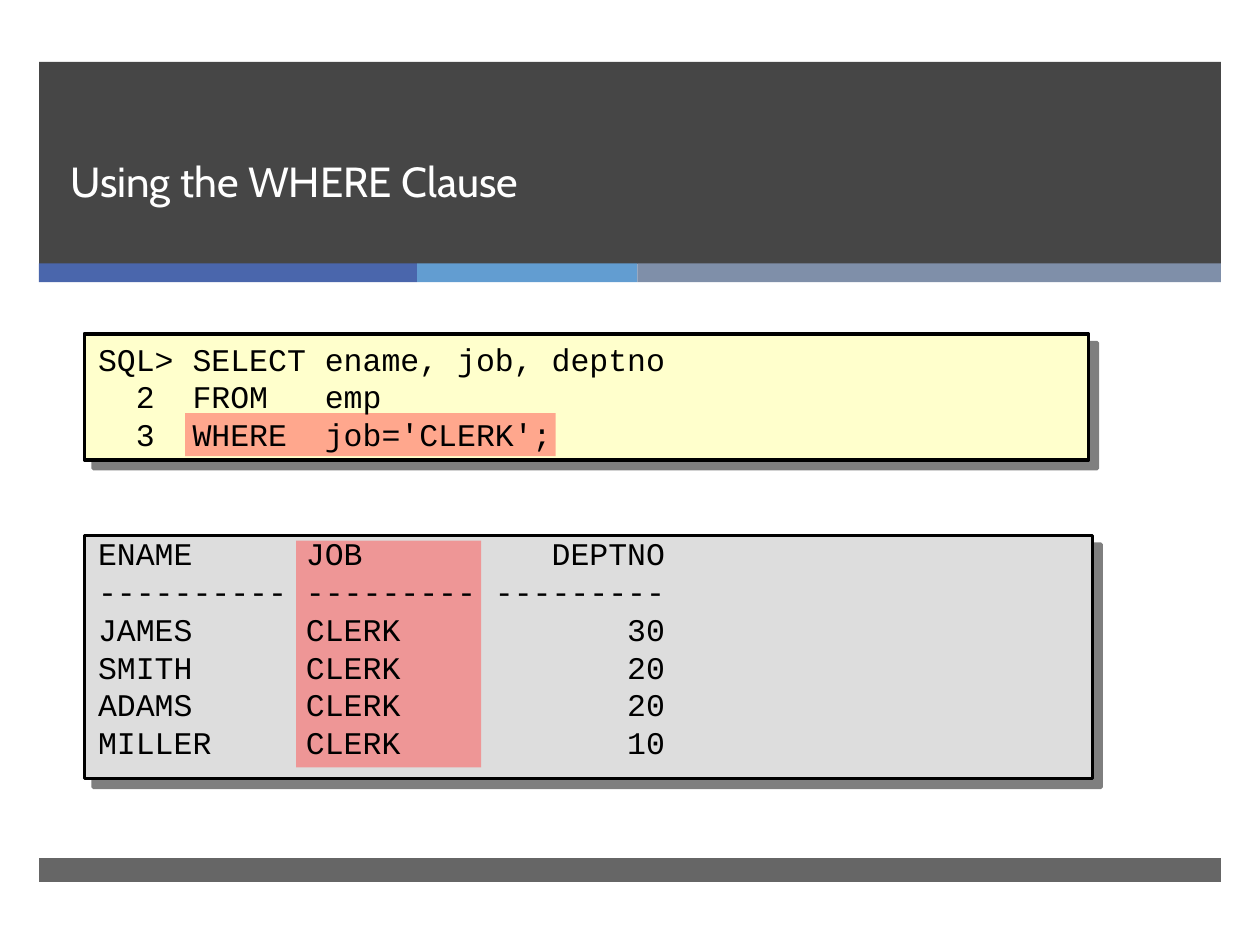
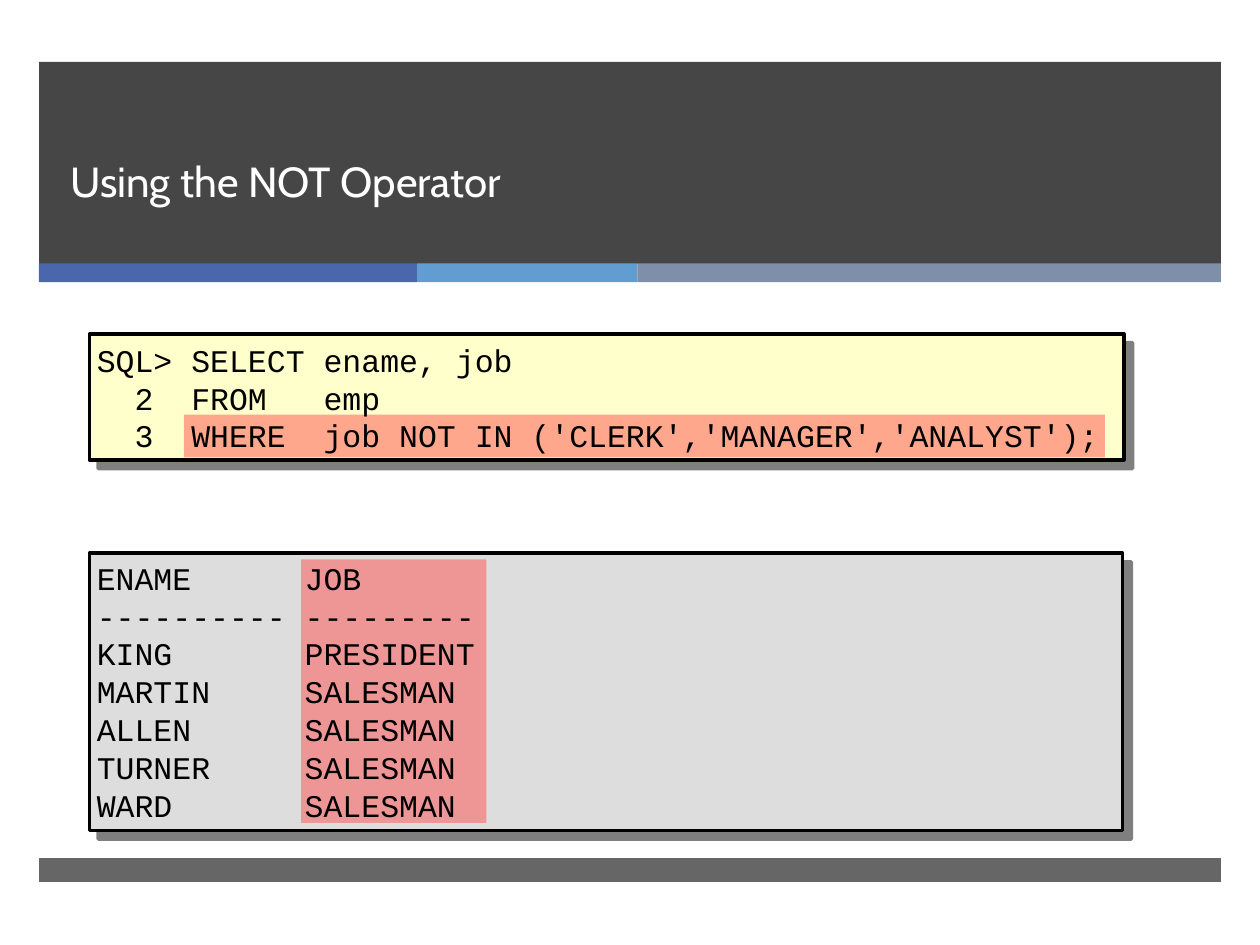
from collections import namedtuple

from lxml.etree import SubElement
from pptx import Presentation
from pptx.dml.color import RGBColor as Rgb
from pptx.enum.shapes import MSO_SHAPE as Shape
from pptx.enum.text import MSO_ANCHOR as Anchor
from pptx.oxml.ns import qn
from pptx.util import Emu, Inches, Pt

SLIDE_WIDTH, SLIDE_HEIGHT = Inches(10), Inches(7.5)
COLUMNS, ROWS = 100, 75
CHAR_WIDTH = Pt(18 * 0.6)

COLOURS = {
    "band": "262626", "blue": "4A66AC", "sky": "629DD1", "slate": "7F8FA9",
    "code": "FFFFCC", "result": "DDDDDD", "mark": "FF5050",
    "ink": "000000", "paper": "FFFFFF",
}
TITLE_FONT = {"name": "Cabin", "size": Pt(24)}
CODE_FONT = {"name": "Courier New", "size": Pt(18)}
SHADOW = {"blurRad": 0, "dist": Pt(7.1), "dir": 45 * 60000, "algn": "ctr", "rotWithShape": 0}

# Tab stops as (character column, alignment)
CODE_TABS = [(2, "l"), (5, "l"), (12, "l")]
RESULT_TABS = [(11, "l"), (30, "r")]

Box = namedtuple("Box", "left top width height")


def inside(outer, part):
    """Turn a box measured from the corner of outer into a slide box."""
    return Box(outer.left + part.left, outer.top + part.top, part.width, part.height)


def on_slide(box):
    """Turn grid columns and rows into slide lengths."""
    across, down = SLIDE_WIDTH / COLUMNS, SLIDE_HEIGHT / ROWS
    return [Emu(round(share)) for share in
            (box.left * across, box.top * down, box.width * across, box.height * down)]


def set_values(target, values):
    for name, value in values.items():
        setattr(target, name, value)


def add_alpha(parent, percent):
    SubElement(parent, qn("a:alpha"), val=str(percent * 1000))


def add_block(page, box, colour, opacity=100):
    block = page.shapes.add_shape(Shape.RECTANGLE, *on_slide(box))
    block.shadow.inherit = False
    block.fill.solid()
    block.fill.fore_color.rgb = Rgb.from_string(COLOURS[colour])
    block.line.fill.background()
    if opacity < 100:
        add_alpha(block.element.spPr.find(".//" + qn("a:srgbClr")), opacity)
    return block


def add_text(page, box, lines, font, colour, anchor, tabs=(), spacing=None):
    frame = page.shapes.add_textbox(*on_slide(box)).text_frame
    set_values(frame, {"word_wrap": True, "vertical_anchor": anchor})
    for number, line in enumerate(lines):
        para = frame.add_paragraph() if number else frame.paragraphs[0]
        para.line_spacing = spacing
        if tabs:
            stops = SubElement(para._p.get_or_add_pPr(), qn("a:tabLst"))
            for column, align in tabs:
                SubElement(stops, qn("a:tab"), pos=str(column * CHAR_WIDTH), algn=align)
        span = para.add_run()
        span.text = line
        set_values(span.font, font)
        span.font.color.rgb = Rgb.from_string(COLOURS[colour])


def add_frame(page, title):
    """Draw the title band, the colour strip and the footer band."""
    band = Box(3.1, 4.9, 93.8, 16.05)
    add_block(page, band, "band", 85)
    left = 0
    for colour, width in (("blue", 30), ("sky", 17.5), ("slate", 46.3)):
        add_block(page, inside(band, Box(left, 16, width, 1.5)), colour)
        left += width
    add_block(page, inside(band, Box(0, 63.2, band.width, 1.9)), "band", 70)
    add_text(page, inside(band, Box(1.5, 0, 85.4, 11.9)), [title],
             TITLE_FONT, "paper", Anchor.BOTTOM, spacing=Pt(46))


def add_panel(page, box, colour, mark, text_box, lines, tabs):
    """Draw a shadowed panel; mark and text_box are relative to its box."""
    panel = add_block(page, box, colour)
    panel.line.color.rgb = Rgb.from_string(COLOURS["ink"])
    panel.line.width = Pt(2)
    effects = panel.element.spPr.find(qn("a:effectLst"))
    shadow = SubElement(effects, qn("a:outerShdw"),
                        {name: str(value) for name, value in SHADOW.items()})
    add_alpha(SubElement(shadow, qn("a:srgbClr"), val=COLOURS["ink"]), 50)
    add_block(page, inside(box, mark), "mark", 50)
    add_text(page, inside(box, text_box), lines, CODE_FONT, "ink", Anchor.MIDDLE, tabs)


def add_query_page(deck, title, query, result):
    page = deck.slides.add_slide(deck.slide_layouts[6])
    add_frame(page, title)
    add_panel(page, colour="code", tabs=CODE_TABS, **query)
    add_panel(page, colour="result", tabs=RESULT_TABS, **result)


def result_lines(heads, rows):
    rule = ["-" * 10] + ["-" * 9] * (len(heads) - 1)
    return ["\t".join(row) for row in (heads, rule, *rows)]


def main():
    deck = Presentation()
    set_values(deck, {"slide_width": SLIDE_WIDTH, "slide_height": SLIDE_HEIGHT})

    clerks = [(name, "CLERK", dept) for name, dept in
              (("JAMES", "30"), ("SMITH", "20"), ("ADAMS", "20"), ("MILLER", "10"))]
    add_query_page(
        deck, "Using the WHERE Clause",
        query={
            "box": Box(6.7, 26.5, 79.7, 10),
            "mark": Box(8, 6.3, 29.4, 3.4),
            "text_box": Box(0.1, -0.2, 80, 10.3),
            "lines": ["SQL>\tSELECT\tename, job, deptno", "\t2\tFROM\temp",
                      "\t3\tWHERE\tjob='CLERK';"],
        },
        result={
            "box": Box(6.7, 42.5, 80, 19.3),
            "mark": Box(16.8, 0.4, 14.7, 18),
            "text_box": Box(0.1, -0.1, 80.3, 18),
            "lines": result_lines(("ENAME", "JOB", "DEPTNO"), clerks),
        })

    staff = [("KING", "PRESIDENT")]
    staff += [(name, "SALESMAN") for name in ("MARTIN", "ALLEN", "TURNER", "WARD")]
    add_query_page(
        deck, "Using the NOT Operator",
        query={
            "box": Box(7.1, 26.5, 82.1, 10),
            "mark": Box(7.5, 6.4, 73.1, 3.4),
            "text_box": Box(-0.4, -0.1, 82.4, 10.3),
            "lines": ["SQL>\tSELECT\tename, job", "\t2\tFROM\temp",
                      "\t3\tWHERE\tjob NOT IN ('CLERK','MANAGER','ANALYST');"],
        },
        result={
            "box": Box(7.1, 43.9, 82, 22),
            "mark": Box(16.8, 0.5, 14.7, 20.9),
            "text_box": Box(-0.4, -0.2, 82.3, 22.3),
            "lines": result_lines(("ENAME", "JOB"), staff),
        })

    deck.save("out.pptx")


if __name__ == "__main__":
    main()
